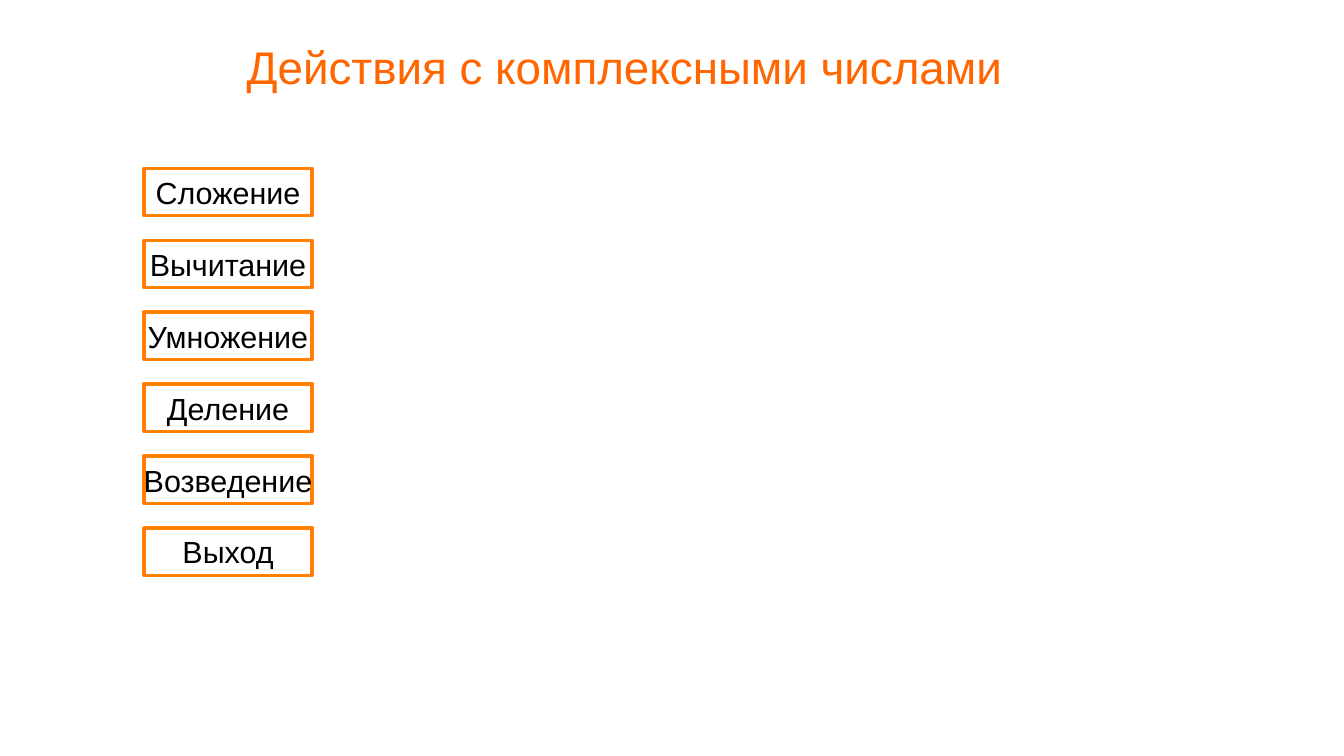
from pptx import Presentation
from pptx.dml.color import RGBColor
from pptx.enum.shapes import MSO_SHAPE
from pptx.enum.text import MSO_ANCHOR, PP_ALIGN
from pptx.util import Inches, Pt

RECTANGLE = MSO_SHAPE.RECTANGLE
MIDDLE = MSO_ANCHOR.MIDDLE
CENTER = PP_ALIGN.CENTER
TITLE_ONLY = 5


def color(value):
    return RGBColor.from_string(value)


def write(frame, text, size, text_color, frame_format):
    for name, value in frame_format.items():
        setattr(frame, name, value)
    paragraph = frame.paragraphs[0]
    paragraph.alignment = CENTER
    run = paragraph.add_run()
    run.text = text
    for name, value in {"name": "Arial", "size": Pt(size), "bold": False}.items():
        setattr(run.font, name, value)
    run.font.color.rgb = color(text_color)


presentation = Presentation()
presentation.slide_width = Inches(11.02)
presentation.slide_height = Inches(6.2)
slide = presentation.slides.add_slide(presentation.slide_layouts[TITLE_ONLY])
slide.background.fill.solid()
slide.background.fill.fore_color.rgb = color("FFFFFF")

heading = slide.shapes.title
heading_place = {
    "left": Inches(0.59),
    "top": Inches(0.2),
    "width": Inches(9.06),
    "height": Inches(0.69),
}
for name, value in heading_place.items():
    setattr(heading, name, value)
heading_format = {
    "margin_left": 0,
    "margin_top": 0,
    "margin_right": 0,
    "margin_bottom": 0,
    "vertical_anchor": MIDDLE,
    "word_wrap": True,
}
write(heading.text_frame, "Действия с комплексными числами", 27, "FF6600", heading_format)

operations = ["Сложение", "Вычитание", "Умножение", "Деление", "Возведение", "Выход"]
first_top = 1.38
step = 0.59
button_format = {
    "margin_left": Inches(0.1),
    "margin_top": Inches(0.05),
    "margin_right": Inches(0.1),
    "margin_bottom": Inches(0.05),
    "vertical_anchor": MIDDLE,
    "word_wrap": False,
}
for row, operation in enumerate(operations):
    button = slide.shapes.add_shape(
        RECTANGLE, Inches(1.18), Inches(first_top + row * step), Inches(1.38), Inches(0.39)
    )
    button.shadow.inherit = False
    button.fill.solid()
    button.fill.fore_color.rgb = color("FFFFFF")
    button.line.color.rgb = color("FF8000")
    button.line.width = Pt(1.98)
    write(button.text_frame, operation, 18, "000000", button_format)

presentation.save("out.pptx")
